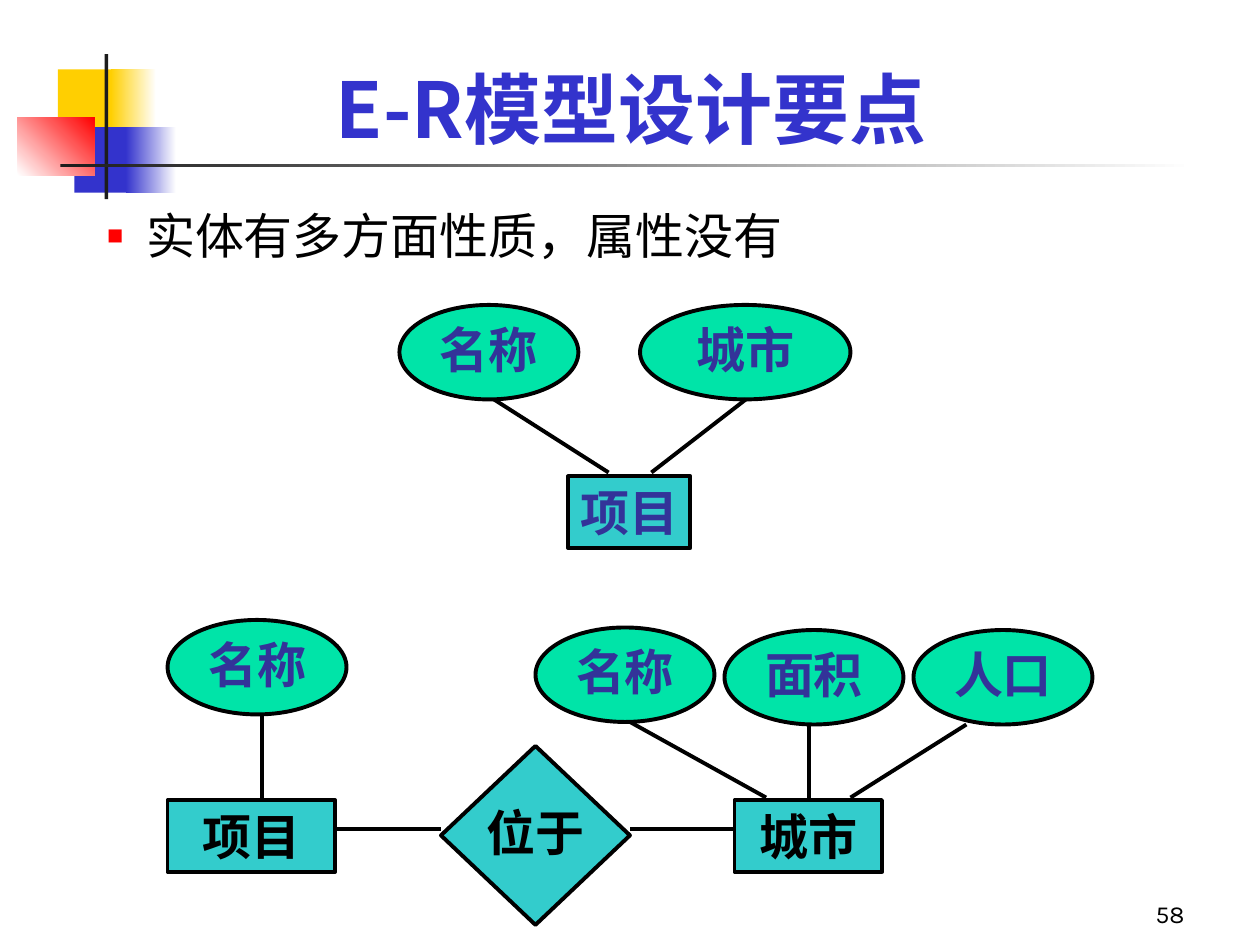
from dataclasses import dataclass

from lxml import etree
from pptx import Presentation
from pptx.dml.color import RGBColor
from pptx.enum.shapes import MSO_CONNECTOR, MSO_SHAPE
from pptx.enum.text import MSO_ANCHOR, MSO_AUTO_SIZE, PP_ALIGN
from pptx.oxml.ns import qn
from pptx.util import Inches, Pt

RECT, OVAL, DIAMOND = MSO_SHAPE.RECTANGLE, MSO_SHAPE.OVAL, MSO_SHAPE.DIAMOND
STRAIGHT = MSO_CONNECTOR.STRAIGHT
TOP, MIDDLE, BOTTOM = MSO_ANCHOR.TOP, MSO_ANCHOR.MIDDLE, MSO_ANCHOR.BOTTOM
CENTER, RIGHT, JUSTIFY = PP_ALIGN.CENTER, PP_ALIGN.RIGHT, PP_ALIGN.JUSTIFY


@dataclass(frozen=True)
class Theme:
    blue: str = "3333CC"
    yellow: str = "FFCF01"
    red: str = "FF0000"
    white: str = "FFFFFF"
    black: str = "000000"
    rule: str = "1C1C1C"
    entity: str = "33CCCC"
    attribute: str = "00E4A8"
    label: str = "333399"
    title_size: int = 44
    text_size: int = 28
    number_size: int = 14
    outline: float = 2.25
    cjk_font: str = "Noto Sans CJK SC"
    body_font: str = "Karla"
    diagram_font: str = "Times New Roman"


THEME = Theme()
OVAL_W, OVAL_H = 1.42, 0.75
ENTITY_H = 0.57


def rgb(value):
    return RGBColor.from_string(value)


def box(left, top, width, height):
    return [Inches(n) for n in (left, top, width, height)]


def place(placeholder, *bounds):
    (placeholder.left, placeholder.top,
     placeholder.width, placeholder.height) = box(*bounds)


def write(shape, text, size=THEME.text_size, font=THEME.diagram_font,
          color=THEME.black, bold=False, align=CENTER, anchor=MIDDLE,
          wrap=True, spacing=None, bullet=None):
    frame = shape.text_frame
    frame.text = text
    frame.auto_size = MSO_AUTO_SIZE.NONE
    frame.word_wrap = wrap
    frame.vertical_anchor = anchor
    paragraph = frame.paragraphs[0]
    paragraph.alignment = align
    paragraph.space_before = Pt(0)
    if spacing:
        paragraph.line_spacing = spacing
    if bullet:
        add_bullet(paragraph, bullet)
    run_font = paragraph.runs[0].font
    run_font.size, run_font.bold, run_font.name = Pt(size), bold, font
    run_font.color.rgb = rgb(color)
    east_asian = etree.SubElement(paragraph.runs[0]._r.rPr, qn("a:ea"))
    east_asian.set("typeface", THEME.cjk_font)


def add_bullet(paragraph, color):
    properties = paragraph._p.get_or_add_pPr()
    properties.set("marL", str(Inches(0.81)))
    properties.set("indent", str(Inches(-0.31)))
    bullet_color = etree.SubElement(properties, qn("a:buClr"))
    etree.SubElement(bullet_color, qn("a:srgbClr")).set("val", color)
    etree.SubElement(properties, qn("a:buSzPct")).set("val", "55000")
    etree.SubElement(properties, qn("a:buChar")).set("char", "■")


def add_band(slide, bounds, start, end=None, angle=0):
    """Add a borderless rectangle, plain or fading from start to end."""
    band = slide.shapes.add_shape(RECT, *box(*bounds))
    band.shadow.inherit = False
    band.line.fill.background()
    if end is None:
        band.fill.solid()
        band.fill.fore_color.rgb = rgb(start)
        return
    band.fill.gradient()
    band.fill.gradient_angle = angle
    for stop, color in zip(band.fill.gradient_stops, (start, end)):
        stop.color.rgb = rgb(color)


def add_node(group, kind, bounds, text, fill, **text_format):
    node = group.shapes.add_shape(kind, *box(*bounds))
    node.shadow.inherit = False
    node.fill.solid()
    node.fill.fore_color.rgb = rgb(fill)
    node.line.color.rgb = rgb(THEME.black)
    node.line.width = Pt(THEME.outline)
    write(node, text, bold=True, **text_format)


def add_entity(group, left, top, width, text, **text_format):
    add_node(group, RECT, (left, top, width, ENTITY_H), text, THEME.entity,
             **text_format)


def add_attribute(group, left, top, text, width=OVAL_W):
    add_node(group, OVAL, (left, top, width, OVAL_H), text, THEME.attribute,
             color=THEME.label, wrap=False, spacing=0.9)


def add_link(group, start, end):
    link = group.shapes.add_connector(
        STRAIGHT, *[Inches(n) for n in (*start, *end)])
    link.line.color.rgb = rgb(THEME.black)
    link.line.width = Pt(THEME.outline)
    etree.SubElement(link._element.spPr, qn("a:effectLst"))


def add_decoration(slide):
    t = THEME
    add_band(slide, (0.46, 0.55, 0.48, 0.52), t.yellow)
    add_band(slide, (0.88, 0.55, 0.36, 0.52), t.yellow, t.white)
    add_band(slide, (0.59, 1.01, 0.46, 0.52), t.blue)
    add_band(slide, (1, 1.01, 0.4, 0.52), t.blue, t.white)
    add_band(slide, (0.14, 0.93, 0.61, 0.46), t.white, t.red, angle=45)
    add_band(slide, (0.83, 0.43, 0.03, 1.15), t.rule)
    add_band(slide, (0.48, 1.3, 9, 0.03), t.rule, t.white)


def add_text(slide):
    title, body = slide.placeholders
    place(title, 0.75, 0.25, 8.52, 1.02)
    write(title, "E-R模型设计要点", size=THEME.title_size, bold=True,
          font=THEME.cjk_font, color=THEME.blue, anchor=BOTTOM)
    place(body, 0.25, 1.58, 9.54, 5.67)
    write(body, "实体有多方面性质，属性没有", font=THEME.body_font,
          align=JUSTIFY, anchor=TOP, bullet=THEME.red)
    number = slide.shapes.add_textbox(*box(7.42, 6.92, 2.08, 0.5))
    write(number, "58", size=THEME.number_size, font=THEME.body_font,
          align=RIGHT, anchor=BOTTOM)


def add_city_as_attribute(slide):
    group = slide.shapes.add_group_shape()
    add_entity(group, 4.51, 3.78, 0.97, "项目", color=THEME.label, wrap=False)
    add_attribute(group, 3.17, 2.42, "名称")
    add_attribute(group, 5.08, 2.42, "城市", width=1.67)
    add_link(group, (5.92, 3.17), (5.17, 3.75))
    add_link(group, (4.83, 3.75), (3.92, 3.17))


def add_city_as_entity(slide):
    group = slide.shapes.add_group_shape()
    # Entities and the relationship between them
    add_entity(group, 1.33, 6.35, 1.33, "项目", anchor=TOP)
    add_entity(group, 5.83, 6.35, 1.17, "城市", anchor=TOP)
    for left in (2.67, 5):
        add_link(group, (left, 6.58), (left + 0.83, 6.58))
    add_node(group, DIAMOND, (3.5, 5.92, 1.5, 1.42), "位于", THEME.entity,
             wrap=False, spacing=0.9)
    # Attributes, each linked to the top of its entity
    attributes = (
        (1.33, 4.92, "名称", (2.08, 5.67), 2.08),
        (4.25, 4.98, "名称", (5, 5.73), 6.08),
        (5.75, 5, "面积", (6.42, 5.75), 6.42),
        (7.25, 5, "人口", (7.67, 5.75), 6.75),
    )
    for left, top, text, attribute_end, entity_x in attributes:
        add_attribute(group, left, top, text)
        add_link(group, (entity_x, 6.33), attribute_end)


def main():
    deck = Presentation()
    deck.slide_width, deck.slide_height = Inches(10), Inches(7.5)
    slide = deck.slides.add_slide(deck.slide_layouts[1])
    add_decoration(slide)
    add_text(slide)
    add_city_as_attribute(slide)
    add_city_as_entity(slide)
    deck.save("out.pptx")


if __name__ == "__main__":
    main()
